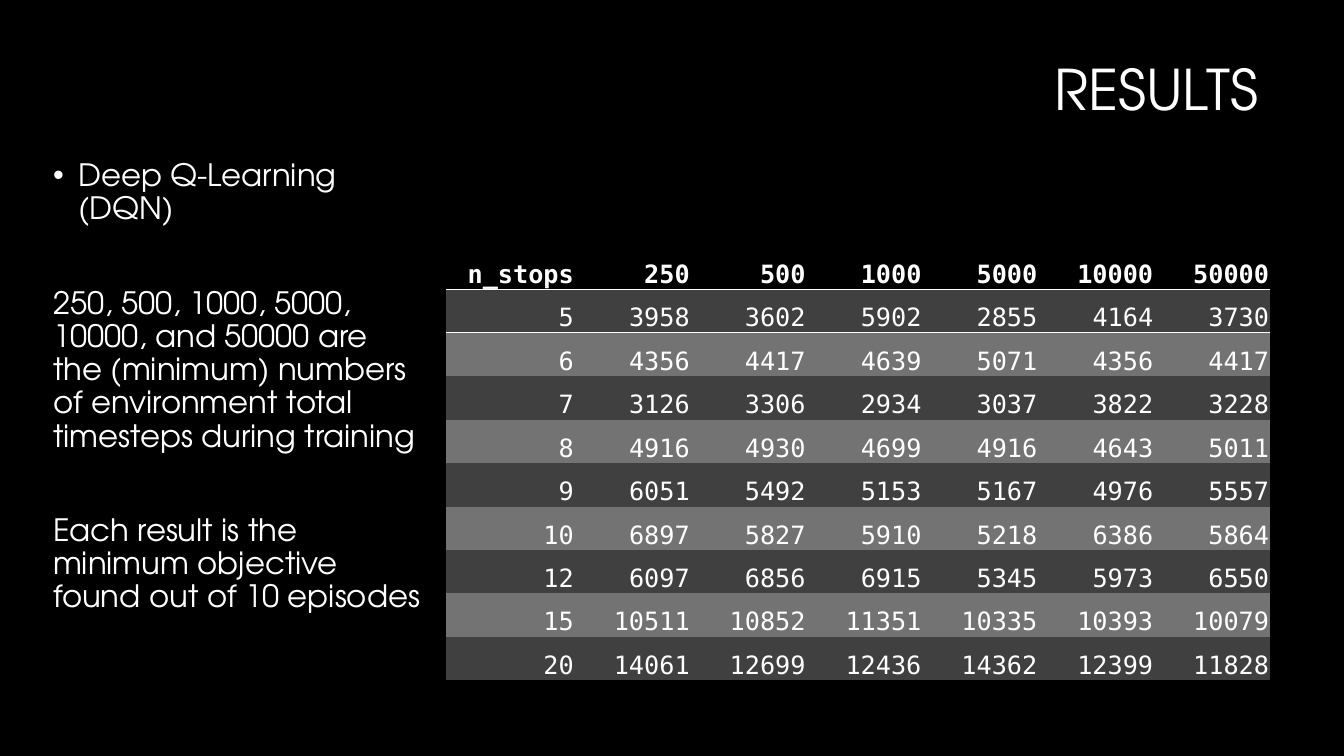
import dataclasses
import typing

import lxml.etree
import pptx
import pptx.dml.color
import pptx.enum.text
import pptx.oxml
import pptx.oxml.ns
import pptx.util

Cm = pptx.util.Cm
Pt = pptx.util.Pt
ALIGN = pptx.enum.text.PP_ALIGN
ANCHOR = pptx.enum.text.MSO_ANCHOR

COLORS = {"black": "000000", "white": "FFFFFF", "dark": "404040", "light": "737373"}
HEADING_FONT = "TeX Gyre Adventor"
TABLE_FONT = "DejaVu Sans Mono"
PLAIN_TABLE_STYLE = "{2D5ABB26-0587-4C30-8999-92F81FD0307C}"

HEADER = ["n_stops", "250", "500", "1000", "5000", "10000", "50000"]
RESULTS = [
    [5, 3958, 3602, 5902, 2855, 4164, 3730],
    [6, 4356, 4417, 4639, 5071, 4356, 4417],
    [7, 3126, 3306, 2934, 3037, 3822, 3228],
    [8, 4916, 4930, 4699, 4916, 4643, 5011],
    [9, 6051, 5492, 5153, 5167, 4976, 5557],
    [10, 6897, 5827, 5910, 5218, 6386, 5864],
    [12, 6097, 6856, 6915, 5345, 5973, 6550],
    [15, 10511, 10852, 11351, 10335, 10393, 10079],
    [20, 14061, 12699, 12436, 14362, 12399, 11828],
]


@dataclasses.dataclass
class Paragraph:
    text: str
    size: float = 22
    space_before: float = 43.5
    align: ALIGN = ALIGN.LEFT
    bullet: bool = False


@dataclasses.dataclass
class TextBlock:
    left: float
    top: float
    width: float
    height: float
    anchor: ANCHOR
    paragraphs: list[Paragraph]


BLOCKS = [
    TextBlock(12.8, 0.53, 19.15, 3.58, ANCHOR.MIDDLE,
              [Paragraph("RESULTS", size=40, space_before=0, align=ALIGN.RIGHT)]),
    TextBlock(1.09, 3.91, 9.83, 15.44, ANCHOR.TOP, [
        Paragraph("Deep Q-Learning (DQN)", space_before=10, bullet=True),
        Paragraph("250, 500, 1000, 5000, 10000, and 50000 are the (minimum) "
                  "numbers of environment total timesteps during training"),
        Paragraph("Each result is the minimum objective found out of 10 episodes"),
    ]),
]


def apply_format(target: typing.Any, values: dict[str, typing.Any]) -> None:
    for name, value in values.items():
        setattr(target, name, value)


def color(name: str) -> pptx.dml.color.RGBColor:
    return pptx.dml.color.RGBColor.from_string(COLORS[name])


def write_span(para: typing.Any, text: str, font: str, size: float, bold: bool = False) -> None:
    span = para.add_run()
    span.text = text
    apply_format(span.font, {"name": font, "size": Pt(size), "bold": bold})
    span.font.color.rgb = color("white")


def add_bullet(para: typing.Any) -> None:
    properties = para._p.get_or_add_pPr()
    indent = Cm(0.64)
    properties.set("marL", str(indent))
    properties.set("indent", str(-indent))
    tag = pptx.oxml.ns.qn
    lxml.etree.SubElement(properties, tag("a:buFont")).set("typeface", "Arial")
    lxml.etree.SubElement(properties, tag("a:buChar")).set("char", "•")


def draw_block(page: typing.Any, block: TextBlock) -> None:
    box = page.shapes.add_textbox(
        Cm(block.left), Cm(block.top), Cm(block.width), Cm(block.height))
    frame = box.text_frame
    apply_format(frame, {"word_wrap": True, "vertical_anchor": block.anchor})
    for index, item in enumerate(block.paragraphs):
        para = frame.add_paragraph() if index else frame.paragraphs[0]
        apply_format(para, {"alignment": item.align, "line_spacing": 0.9,
                            "space_before": Pt(item.space_before)})
        if item.bullet:
            add_bullet(para)
        write_span(para, item.text, HEADING_FONT, item.size)


def add_rule(cell: typing.Any, side: str) -> None:
    """Draw a thin white border on one side of a cell: "T" or "B"."""
    line = pptx.oxml.parse_xml(
        f'<a:ln{side} {pptx.oxml.ns.nsdecls("a")} w="{Pt(1)}"><a:solidFill>'
        f'<a:srgbClr val="{COLORS["white"]}"/></a:solidFill></a:ln{side}>')
    cell._tc.get_or_add_tcPr().insert(0, line)


def fill_cell(cell: typing.Any, text: str, fill: str, bold: bool) -> None:
    apply_format(cell, {"vertical_anchor": ANCHOR.BOTTOM, "margin_left": Cm(0.02),
                        "margin_right": Cm(0.02), "margin_top": Cm(0.02),
                        "margin_bottom": Cm(0)})
    cell.fill.solid()
    cell.fill.fore_color.rgb = color(fill)
    para = cell.text_frame.paragraphs[0]
    para.alignment = ALIGN.RIGHT
    write_span(para, text, TABLE_FONT, 18, bold)


def draw_results(page: typing.Any) -> None:
    rows = [HEADER, *RESULTS]
    table = page.shapes.add_table(
        len(rows), len(HEADER), Cm(11.25), Cm(6.2), Cm(20.75), Cm(10.95)).table
    apply_format(table, {"first_row": True, "horz_banding": False})
    table._tbl.tblPr.find(pptx.oxml.ns.qn("a:tableStyleId")).text = PLAIN_TABLE_STYLE
    for index, column in enumerate(table.columns):
        column.width = Cm(2.92 if index else 3.23)
    for row, values in enumerate(rows):
        fill = "black" if row == 0 else "dark" if row % 2 else "light"
        for column, value in enumerate(values):
            cell = table.cell(row, column)
            fill_cell(cell, str(value), fill, bold=row == 0)
            if row < 2:
                add_rule(cell, "T" if row else "B")


def main() -> None:
    deck = pptx.Presentation()
    apply_format(deck, {"slide_width": Cm(33.87), "slide_height": Cm(19.05)})
    page = deck.slides.add_slide(deck.slide_layouts[6])
    page.background.fill.solid()
    page.background.fill.fore_color.rgb = color("black")
    for block in BLOCKS:
        draw_block(page, block)
    draw_results(page)
    deck.save("out.pptx")


if __name__ == "__main__":
    main()
